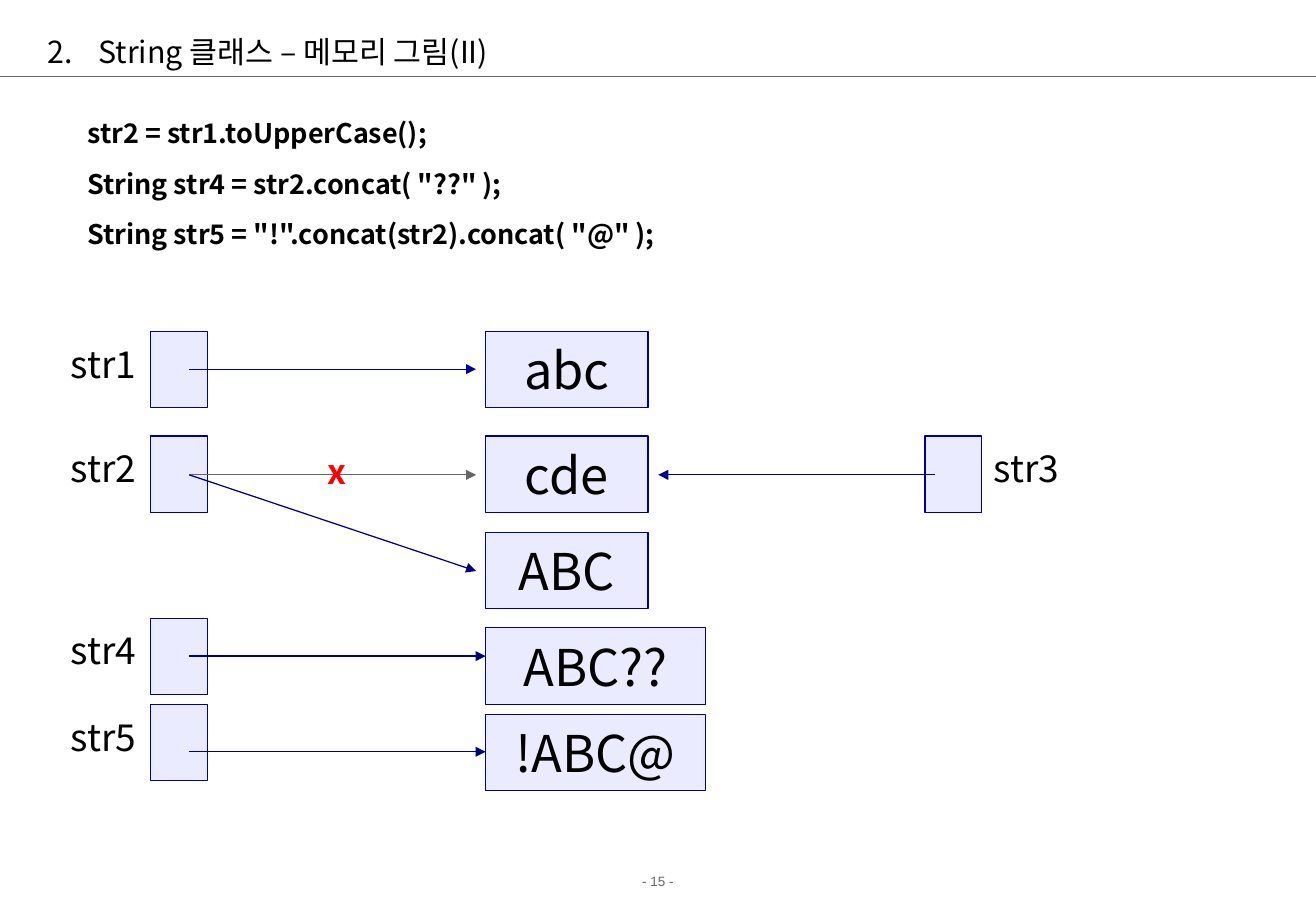
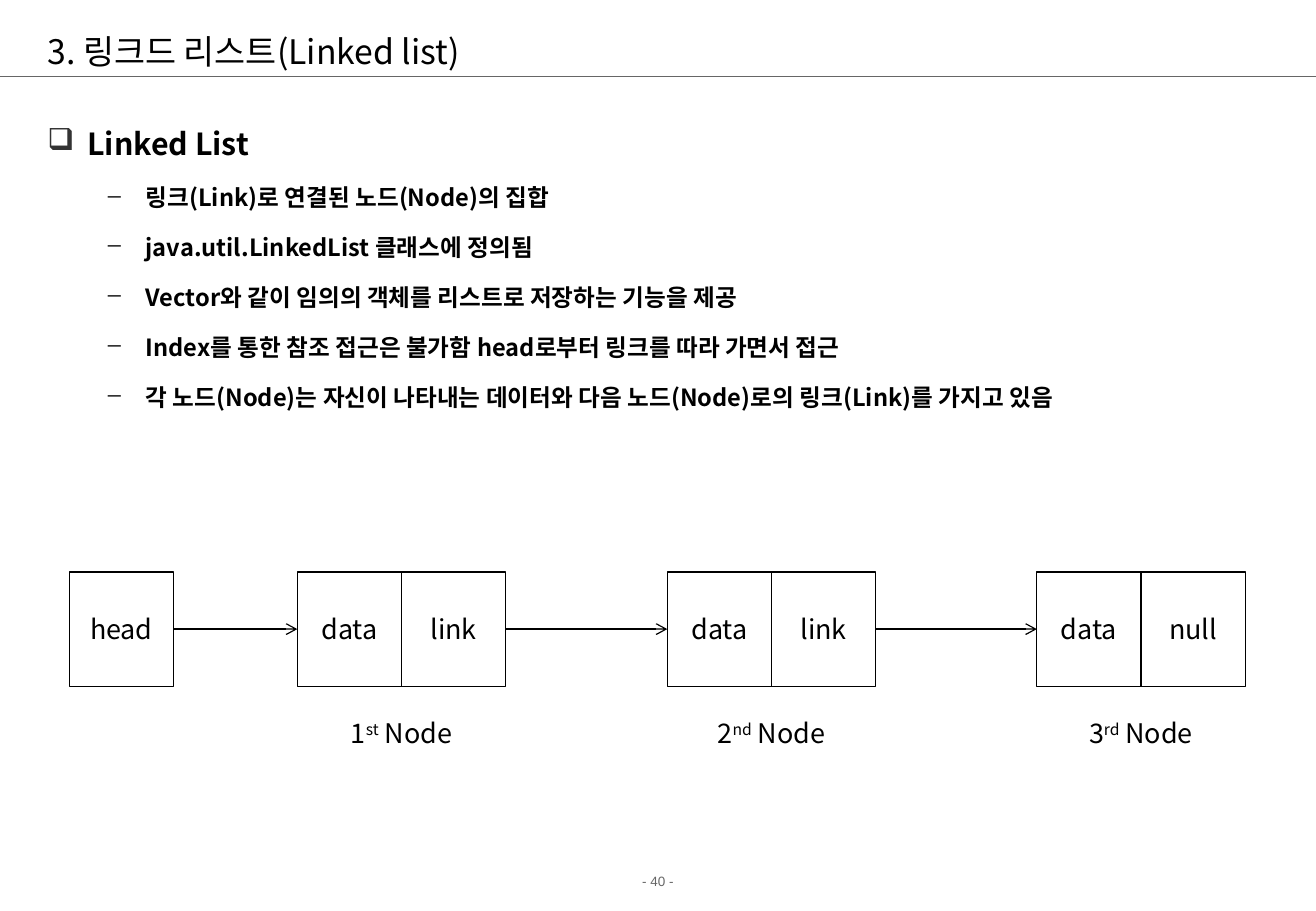
from dataclasses import dataclass

from lxml import etree
from pptx import Presentation
from pptx import util as u
from pptx.dml.color import RGBColor
from pptx.enum import shapes, text
from pptx.oxml import ns

Cm, Pt = u.Cm, u.Pt


@dataclass(frozen=True)
class Theme:
    font: str = "Noto Sans CJK KR"
    dash_font: str = "Montserrat"
    footer_font: str = "Arial"
    ink: str = "000000"
    grey: str = "666666"
    bullet: str = "333333"
    cell_fill: str = "EBEBFF"
    cell_line: str = "000099"
    new_arrow: str = "000080"
    cross: str = "FF0000"
    line: float = 0.75
    footer: int = 8
    bullet_text: int = 14
    body: int = 16
    heading: int = 18
    mark: int = 20
    label: int = 22
    value: int = 30


THEME = Theme()
SLIDE_W, SLIDE_H = 27.53, 19.05
MARGIN, CONTENT_W = 0.74, 25.83
PADDING = (0.25, 0.13)

# Slide 1: string references
CODE = [
    'str2 = str1.toUpperCase();',
    'String str4 = str2.concat( "??" );',
    'String str5 = "!".concat(str2).concat( "@" );',
]
REF_W, CELL_H = 1.19, 1.6
LEFT_REF, RIGHT_REF, VALUE_X = 3.15, 19.35, 10.16
LEFT_LABEL, RIGHT_LABEL = (0.97, 2.39), (20.37, 2.21)  # left, width
# name, top, left of the cell, label
REFS = [
    ("str1", 6.93, LEFT_REF, LEFT_LABEL),
    ("str2", 9.12, LEFT_REF, LEFT_LABEL),
    ("str3", 9.12, RIGHT_REF, RIGHT_LABEL),
    ("str4", 12.93, LEFT_REF, LEFT_LABEL),
    ("str5", 14.73, LEFT_REF, LEFT_LABEL),
]
# value, top, width
VALUES = [
    ("abc", 6.93, 3.4),
    ("cde", 9.12, 3.4),
    ("ABC", 11.13, 3.4),
    ("ABC??", 13.13, 4.6),
    ("!ABC@", 14.94, 4.6),
]
ARROW_X, ARROW_END = 3.96, 9.96
# start, end, colour
ARROWS = [
    ((ARROW_X, 7.72), (ARROW_END, 7.72), THEME.cell_line),
    ((ARROW_X, 9.93), (ARROW_END, 9.93), THEME.grey),
    ((19.56, 9.93), (13.77, 9.93), THEME.cell_line),
    ((ARROW_X, 9.93), (ARROW_END, 11.94), THEME.new_arrow),
    ((ARROW_X, 13.72), (VALUE_X, 13.72), THEME.new_arrow),
    ((ARROW_X, 15.72), (VALUE_X, 15.72), THEME.new_arrow),
]

# Slide 2: linked list
LIST_HEADING = "Linked List"
LIST_POINTS = [
    "링크(Link)로 연결된 노드(Node)의 집합",
    "java.util.LinkedList 클래스에 정의됨",
    "Vector와 같이 임의의 객체를 리스트로 저장하는 기능을 제공",
    "Index를 통한 참조 접근은 불가함 head로부터 링크를 따라 가면서 접근",
    "각 노드(Node)는 자신이 나타내는 데이터와 다음 노드(Node)로의 링크(Link)를 가지고 있음",
]
# left, fields, ordinal of the node
NODES = [
    (1.45, ["head"], None),
    (6.22, ["data", "link"], ("1", "st")),
    (13.96, ["data", "link"], ("2", "nd")),
    (21.69, ["data", "null"], ("3", "rd")),
]
FIELD_W, FIELD_H, NODE_Y = 2.18, 2.39, 11.96
CAPTION_W, CAPTION_H, CAPTION_Y = 3.96, 1.19, 14.73


def rgb(value):
    return RGBColor.from_string(value)


def add_xml(parent, tag, **attributes):
    return etree.SubElement(parent, ns.qn(tag), attributes)


def style(para, size, color=THEME.ink, bold=False, font=THEME.font, align="LEFT"):
    para.alignment = getattr(text.PP_ALIGN, align)
    para.font.size, para.font.bold, para.font.name = Pt(size), bold, font
    para.font.color.rgb = rgb(color)
    for props in para._p.xpath("./a:pPr/a:defRPr"):
        add_xml(props, "a:ea", typeface=font)


def indent(para, left, hanging, bullet=None, color=THEME.bullet, **attributes):
    """Set a hanging indent and, if given, a bullet element."""
    props = para._p.get_or_add_pPr()
    props.set("marL", str(Cm(left)))
    props.set("indent", str(-Cm(hanging)))
    if bullet:
        add_xml(add_xml(props, "a:buClr"), "a:srgbClr", val=color)
        add_xml(props, bullet, **attributes)


def set_frame(shape, anchor="TOP", padding=(0, 0), wrap=True):
    frame = shape.text_frame
    frame.word_wrap = wrap
    frame.auto_size = text.MSO_AUTO_SIZE.NONE
    frame.vertical_anchor = getattr(text.MSO_ANCHOR, anchor)
    frame.margin_left = frame.margin_right = Cm(padding[0])
    frame.margin_top = frame.margin_bottom = Cm(padding[1])
    return frame


def add_text(page, area, **frame_options):
    return set_frame(page.shapes.add_textbox(*map(Cm, area)), **frame_options)


def add_label(page, area, words, size, anchor="TOP", **look):
    para = add_text(page, area, anchor=anchor).paragraphs[0]
    para.text = words
    style(para, size, align="CENTER", **look)


def add_cell(page, area, words, size, line, fill=None, wrap=True):
    box = page.shapes.add_shape(shapes.MSO_SHAPE.RECTANGLE, *map(Cm, area))
    box.shadow.inherit = False
    if fill:
        box.fill.solid()
        box.fill.fore_color.rgb = rgb(fill)
    else:
        box.fill.background()
    box.line.color.rgb, box.line.width = rgb(line), Pt(THEME.line)
    para = set_frame(box, "MIDDLE", wrap=wrap).paragraphs[0]
    para.text = words
    style(para, size, align="CENTER")
    return box


def add_line(page, start, end, color, head=None):
    line = page.shapes.add_connector(
        shapes.MSO_CONNECTOR.STRAIGHT, *map(Cm, (*start, *end)))
    line.line.color.rgb, line.line.width = rgb(color), Pt(THEME.line)
    if head:
        add_xml(line.line._get_or_add_ln(), "a:tailEnd", type=head)
    add_xml(line._element.spPr, "a:effectLst")
    return line


def add_page(deck, title_runs, size, number, page_number):
    """Add a slide with title, rule and footer; number starts a numbered title."""
    page = deck.slides.add_slide(deck.slide_layouts[5])
    title = page.shapes.title
    title.left, title.top, title.width, title.height = map(
        Cm, (MARGIN, 0.53, CONTENT_W, 1.07))
    para = set_frame(title, "MIDDLE", PADDING).paragraphs[0]
    if number:
        indent(para, 1.07, 1.07, "a:buAutoNum", THEME.ink,
               type="arabicPeriod", startAt=str(number))
    style(para, size)
    for words, font in title_runs:
        span = para.add_run()
        span.text = words
        if font:
            span.font.name = font
    add_line(page, (0, 1.6), (SLIDE_W, 1.6), THEME.grey)
    add_label(page, (0, 18.26, SLIDE_W, 0.36), f"- {page_number} -", THEME.footer,
              color=THEME.grey, font=THEME.footer_font)
    return page


def build_memory_page(deck):
    page = add_page(deck, [("String 클래스 ", None), ("– ", THEME.dash_font),
                           ("메모리 그림(II)", None)], THEME.heading, 2, 15)
    # Code lines
    frame = add_text(page, (MARGIN, 2.11, CONTENT_W, 4.22), padding=PADDING)
    for index, code in enumerate(CODE):
        para = frame.paragraphs[0] if index == 0 else frame.add_paragraph()
        para.text = code
        para.line_spacing = 1.3
        para.space_before = Pt(5 if index else 0)
        indent(para, 0.84, 0)
        style(para, THEME.body, bold=True)
    # References and values
    for name, top, left, (label_x, label_w) in REFS:
        add_label(page, (label_x, top + 0.2, label_w, 0.94), name, THEME.label)
        add_cell(page, (left, top, REF_W, CELL_H), "", THEME.label,
                 THEME.cell_line, THEME.cell_fill)
    for value, top, width in VALUES:
        add_cell(page, (VALUE_X, top, width, CELL_H), value, THEME.value,
                 THEME.cell_line, THEME.cell_fill, wrap=False)
    # Arrows and the cross on the dropped one
    for start, end, color in ARROWS:
        add_line(page, start, end, color, "triangle")
    add_label(page, (6.35, 9.42, 1.4, 0.84), "x", THEME.mark,
              color=THEME.cross, bold=True)


def build_list_page(deck):
    page = add_page(deck, [("3. 링크드 리스트(Linked list)", None)], THEME.mark, None, 40)
    # Bullets
    frame = add_text(page, (MARGIN, 2.11, CONTENT_W, 7.59), padding=PADDING)
    para = frame.paragraphs[0]
    para.text = LIST_HEADING
    para.line_spacing = 1.5
    indent(para, 0.84, 0.84, "a:buChar", char="❑")
    style(para, THEME.heading, bold=True)
    for point in LIST_POINTS:
        para = frame.add_paragraph()
        para.text = point
        para.level = 1
        para.line_spacing, para.space_before = 1.5, Pt(4.4)
        indent(para, 2.06, 0.79, "a:buChar", char="–")
        style(para, THEME.bullet_text, bold=True)
    # Nodes, each linked from the one before
    previous = None
    for left, fields, ordinal in NODES:
        cells = [add_cell(page, (left + i * FIELD_W, NODE_Y, FIELD_W, FIELD_H),
                          field, THEME.body, THEME.ink)
                 for i, field in enumerate(fields)]
        if previous:
            arrow = add_line(page, (0, 0), (1, 1), THEME.ink, "arrow")
            arrow.begin_connect(previous, 3)
            arrow.end_connect(cells[0], 1)
        previous = cells[-1]
        if ordinal:
            caption_x = left + (len(fields) * FIELD_W - CAPTION_W) / 2
            para = add_text(page, (caption_x, CAPTION_Y, CAPTION_W, CAPTION_H),
                            anchor="MIDDLE").paragraphs[0]
            style(para, THEME.body, align="CENTER")
            digit, suffix = ordinal
            for words, raised in ((digit, False), (suffix, True), (" Node", False)):
                span = para.add_run()
                span.text = words
                if raised:
                    span.font._element.set("baseline", "30000")


def main():
    deck = Presentation()
    deck.slide_width, deck.slide_height = Cm(SLIDE_W), Cm(SLIDE_H)
    build_memory_page(deck)
    build_list_page(deck)
    deck.save("out.pptx")


if __name__ == "__main__":
    main()
